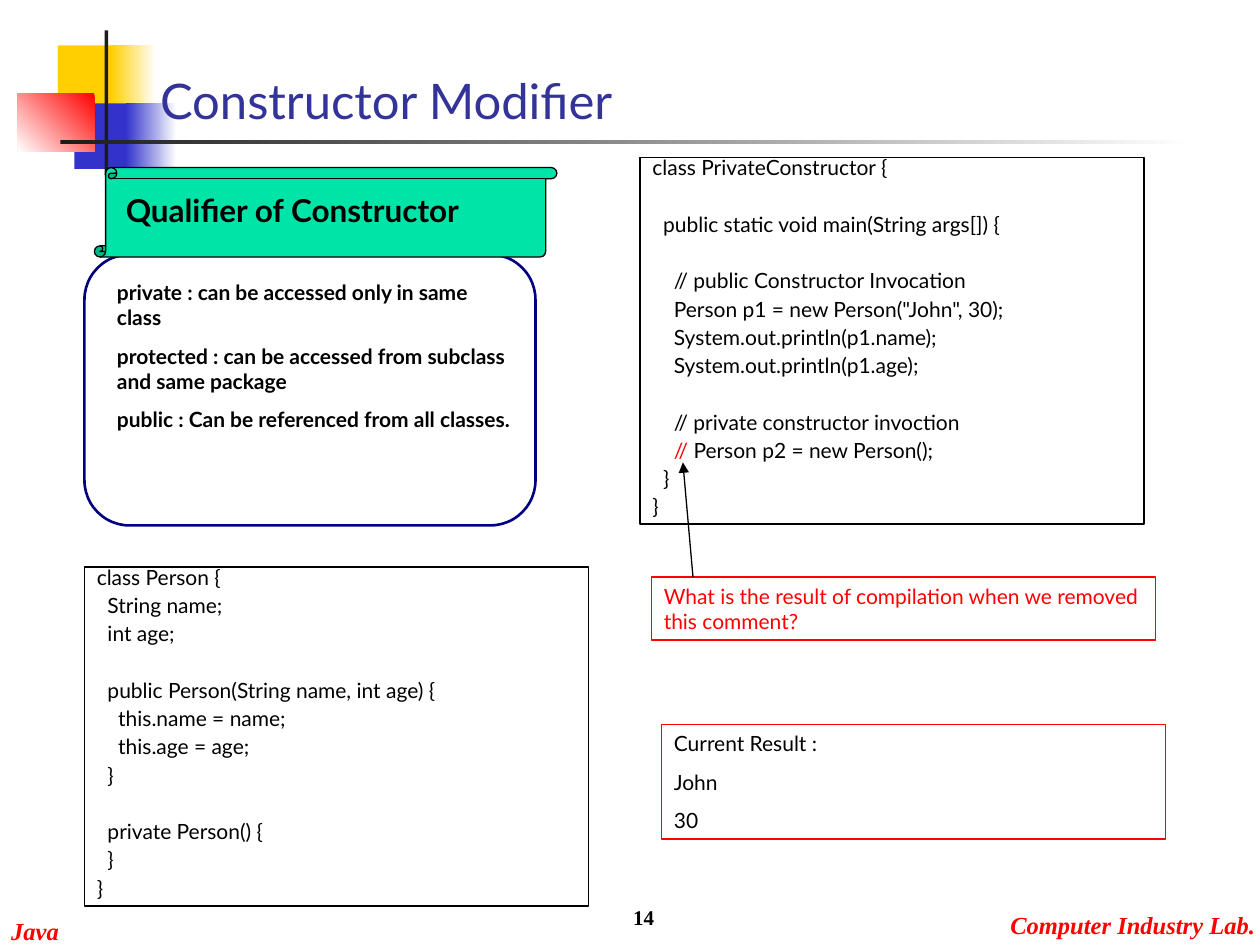
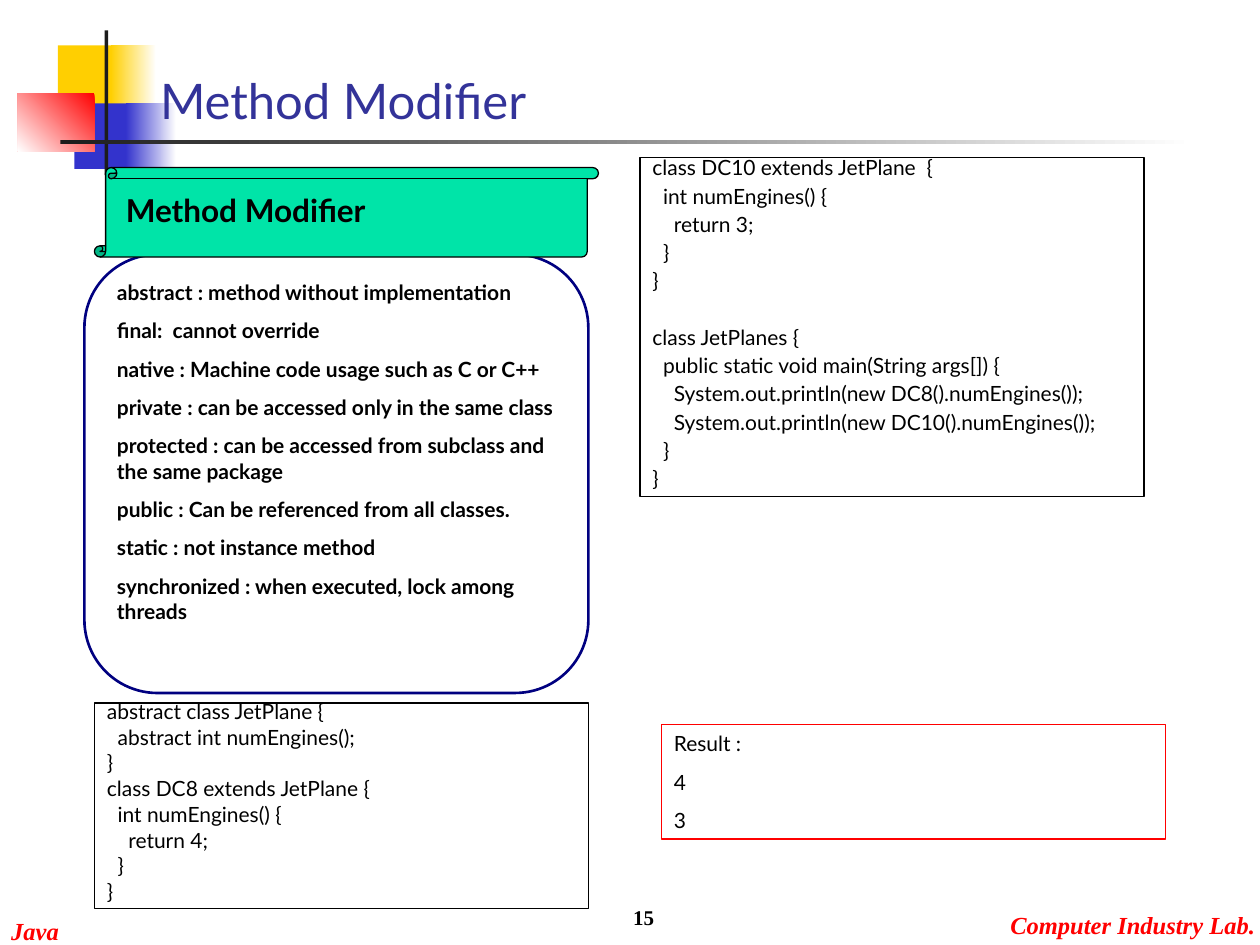
from pptx import Presentation
from pptx.dml.color import RGBColor
from pptx.enum.shapes import MSO_CONNECTOR, MSO_SHAPE
from pptx.enum.text import MSO_ANCHOR, MSO_AUTO_SIZE, PP_ALIGN
from pptx.oxml.ns import qn
from pptx.util import Inches, Pt
from lxml import etree

RECT, ROUND, SCROLL = MSO_SHAPE.RECTANGLE, MSO_SHAPE.ROUNDED_RECTANGLE, MSO_SHAPE.VERTICAL_SCROLL
TOP, BOTTOM = MSO_ANCHOR.TOP, MSO_ANCHOR.BOTTOM
LEFT, RIGHT = PP_ALIGN.LEFT, PP_ALIGN.RIGHT
BLACK, RED, NAVY, GREEN, TITLE = "000000", "FF0000", "000080", "00E4A8", "333399"
YELLOW, BLUE, DARK, WHITE = "FFCF01", "3333CC", "1C1C1C", "FFFFFF"
BODY, SERIF = "Lato", "Times New Roman"

# Master decoration: box, colour, angle of the fade to white (None is solid)
DECOR = [
    ((0.46, 0.36, 0.48, 0.52), YELLOW, None),
    ((0.88, 0.36, 0.36, 0.52), YELLOW, 0),
    ((0.59, 0.82, 0.46, 0.52), BLUE, None),
    ((1, 0.82, 0.4, 0.52), BLUE, 0),
    ((0.14, 0.74, 0.61, 0.46), RED, 225),
    ((0.83, 0.24, 0.03, 1.15), DARK, None),
    ((0.48, 1.11, 9, 0.03), DARK, 0),
]
FOOTERS = [("Java", (-0.01, 7.22, 0.58, 0.34)),
           ("Computer Industry Lab.", (7.92, 7.17, 2.14, 0.34))]
FOOTER_STYLE = {"size": Pt(14), "name": SERIF, "bold": True, "italic": True}

PERSON = """class Person {
  String name;
  int age;

  public Person(String name, int age) {
    this.name = name;
    this.age = age;
  }

  private Person() {
  }
}"""

PRIVATE_CONSTRUCTOR = """class PrivateConstructor {

  public static void main(String args[]) {

    // public Constructor Invocation
    Person p1 = new Person("John", 30);
    System.out.println(p1.name);
    System.out.println(p1.age);

    // private constructor invoction
    // Person p2 = new Person();
  }
}"""

JET_PLANE = """abstract class JetPlane {
  abstract int numEngines();
}
class DC8 extends JetPlane {
  int numEngines() {
    return 4;
  }
}"""

JET_PLANES = """class DC10 extends JetPlane  {
  int numEngines() {
    return 3;
  }
}

class JetPlanes {
  public static void main(String args[]) {
    System.out.println(new DC8().numEngines());
    System.out.println(new DC10().numEngines());
  }
}"""

SLIDES = [
    {
        "number": "14",
        "title": "Constructor Modifier",
        "heading": "Qualifier of Constructor",
        "panel": (0.67, 2.02, 3.58, 2.15),
        "scroll": (0.75, 1.33, 3.67, 0.71),
        "terms_box": (0.83, 2.17, 3.34, 1.51),
        "terms": [
            "private : can be accessed only in same class",
            "protected : can be accessed from subclass and same package",
            "public : Can be referenced from all classes.",
        ],
        "code": [(PRIVATE_CONSTRUCTOR, (5.08, 1.25, 4, 2.91), 0.6),
                 (PERSON, (0.67, 4.5, 4, 2.69), 0.6)],
        "result": ["Current Result :", "John", "30"],
        "question": "What is the result of compilation when we removed this comment?",
    },
    {
        "number": "15",
        "title": "Method Modifier",
        "heading": "Method Modifier",
        "panel": (0.67, 2.02, 4, 3.48),
        "scroll": (0.75, 1.33, 4, 0.71),
        "terms_box": (0.83, 2.17, 3.83, 3.23),
        "terms": [
            "abstract : method without implementation",
            "final:  cannot override",
            "native : Machine code usage such as C or C++",
            "private : can be accessed only in the same class",
            "protected : can be accessed from subclass and the same package",
            "public : Can be referenced from all classes.",
            "static : not instance method",
            "synchronized : when executed, lock among threads",
        ],
        "code": [(JET_PLANES, (5.08, 1.25, 4, 2.69), 0.6),
                 (JET_PLANE, (0.75, 5.58, 3.92, 1.63), 0.5)],
        "result": ["Result :", "4", "3"],
    },
]


def rgb(color):
    return RGBColor.from_string(color)


def write(sp, lines, color=BLACK, anchor=TOP, align=LEFT, spacing=1.0, wrap=True, **style):
    """Fill a shape with one paragraph per line."""
    style = {"size": Pt(12), "name": BODY, **style}
    tf = sp.text_frame
    tf.auto_size = MSO_AUTO_SIZE.NONE
    tf.word_wrap, tf.vertical_anchor = wrap, anchor
    for i, line in enumerate(lines):
        p = tf.add_paragraph() if i else tf.paragraphs[0]
        p.alignment, p.line_spacing = align, spacing
        p.space_before = Pt(7.5 if i else 0)
        if not line:
            p._p.get_or_add_endParaRPr().set("sz", str(int(style["size"].pt * 100)))
            continue
        r = p.add_run()
        r.text = line
        for key, value in style.items():
            setattr(r.font, key, value)
        r.font.color.rgb = rgb(color)


prs = Presentation()
prs.slide_width, prs.slide_height = Inches(10), Inches(7.5)

for data in SLIDES:
    s = prs.slides.add_slide(prs.slide_layouts[5])

    # Decoration and footers
    for box, color, angle in DECOR:
        sp = s.shapes.add_shape(RECT, *map(Inches, box))
        sp.shadow.inherit = False
        sp.line.fill.background()
        if angle is None:
            sp.fill.solid()
            sp.fill.fore_color.rgb = rgb(color)
        else:
            sp.fill.gradient()
            sp.fill.gradient_angle = angle
            for stop, shade in zip(sp.fill.gradient_stops, (color, WHITE)):
                stop.color.rgb = rgb(shade)
    for text, box in FOOTERS:
        sp = s.shapes.add_textbox(*map(Inches, box))
        write(sp, [text], RED, wrap=False, **FOOTER_STYLE)

    # Title, raised above the decoration
    sp = s.shapes.title
    sp.left, sp.top, sp.width, sp.height = map(Inches, (1.17, 0.5, 4.75, 0.58))
    write(sp, [data["title"]], TITLE, BOTTOM, size=Pt(28))
    s.shapes._spTree.append(sp._element)

    # Outlined shapes: preset, box, fill, line, line width, lines, text options
    outlined = [
        (ROUND, data["panel"], None, NAVY, 1.5, [], {}),
        (SCROLL, data["scroll"], GREEN, BLACK, 0.75, [], {}),
        (RECT, (5.25, 5.75, 4, 0.91), None, RED, 0.75, data["result"], {}),
    ]
    for code, box, spacing in data["code"]:
        outlined.append((RECT, box, None, BLACK, 0.75, code.split("\n"), {"spacing": spacing}))
    if "question" in data:
        outlined.append((RECT, (5.17, 4.58, 4, 0.5), None, RED, 0.75,
                         [data["question"]], {"color": RED}))
    for preset, box, fill, line, width, lines, options in outlined:
        sp = s.shapes.add_shape(preset, *map(Inches, box))
        sp.shadow.inherit = False
        if fill:
            sp.fill.solid()
            sp.fill.fore_color.rgb = rgb(fill)
        else:
            sp.fill.background()
        sp.line.color.rgb, sp.line.width = rgb(line), Pt(width)
        write(sp, lines, **options)

        # The comment mark in question is red
        for p in sp.text_frame.paragraphs:
            if "// Person p2" in p.text:
                indent, rest = p.text.split("//")
                size, name = p.runs[0].font.size, p.runs[0].font.name
                p.runs[0].text = indent
                for text, color in (("//", RED), (rest, BLACK)):
                    r = p.add_run()
                    r.text = text
                    r.font.size, r.font.name = size, name
                    r.font.color.rgb = rgb(color)

    # Heading, terms and slide number
    sp = s.shapes.add_textbox(*map(Inches, (0.9, 1.47, 3.26, 0.4)))
    write(sp, [data["heading"]], size=Pt(18), bold=True)
    sp = s.shapes.add_textbox(*map(Inches, data["terms_box"]))
    write(sp, data["terms"], bold=True)
    sp = s.shapes.add_textbox(*map(Inches, (3.21, 6.93, 2.08, 0.5)))
    write(sp, [data["number"]], anchor=BOTTOM, align=RIGHT, name=SERIF, bold=True)

    # Arrow from the question to the comment mark
    if "question" in data:
        arrow = s.shapes.add_connector(MSO_CONNECTOR.STRAIGHT,
                                       *map(Inches, (5.5, 4.58, 5.42, 3.67)))
        arrow.line.color.rgb, arrow.line.width = rgb(BLACK), Pt(0.75)
        etree.SubElement(arrow.line._get_or_add_ln(), qn("a:tailEnd"), type="triangle")
        etree.SubElement(arrow._element.spPr, qn("a:effectLst"))

prs.save("out.pptx")
